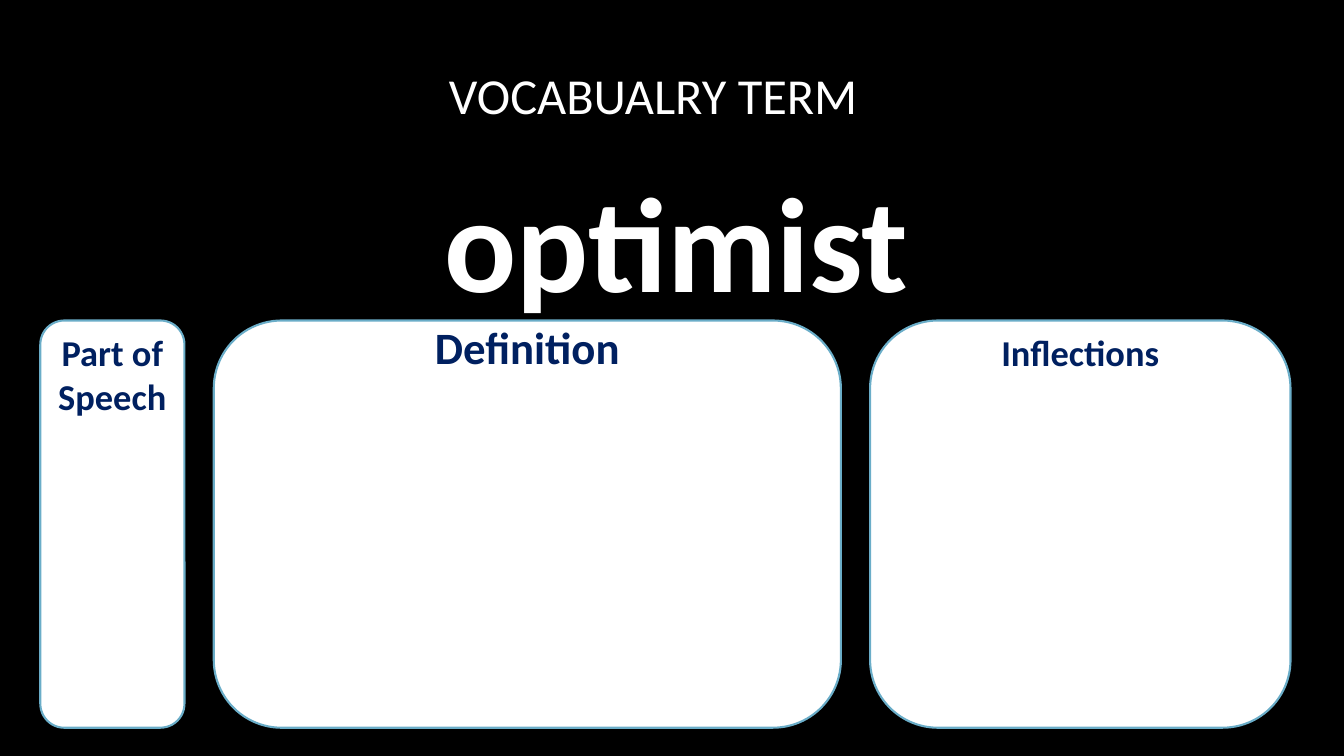
from typing import NamedTuple

import pptx
import pptx.dml.color
import pptx.enum.shapes
import pptx.enum.text
import pptx.util

Inches = pptx.util.Inches
Pt = pptx.util.Pt
RGBColor = pptx.dml.color.RGBColor

BLACK = RGBColor(0x00, 0x00, 0x00)
WHITE = RGBColor(0xFF, 0xFF, 0xFF)
NAVY = RGBColor(0x00, 0x20, 0x60)
SKY = RGBColor(0x6A, 0xAD, 0xC8)

CARD_TOP = 3.18
CARD_HEIGHT = 4.04


class Heading(NamedTuple):
    text: str
    top: float
    height: float
    size: int
    bold: bool
    inset_top: float
    inset_right: float


class Card(NamedTuple):
    text: str
    left: float
    width: float
    size: int
    inset_bottom: float


HEADINGS = [
    Heading("VOCABUALRY TERM", 0.46, 0.96, 36, False, 0.05, 0.56),
    Heading("optimist", 1.42, 1.76, 96, True, 0.19, 0.1),
]
CARDS = [
    Card("Part of Speech", 0.4, 1.43, 26, 2.98),
    Card("Definition", 2.12, 6.22, 32, 3.52),
    Card("Inflections", 8.63, 4.17, 26, 3.42),
]


def write(tf, text: str, size: int, color: RGBColor, bold: bool) -> None:
    tf.word_wrap = True
    tf.vertical_anchor = pptx.enum.text.MSO_ANCHOR.MIDDLE
    p = tf.paragraphs[0]
    p.text = text
    p.alignment = pptx.enum.text.PP_ALIGN.CENTER
    p.font.name = "Calibri"
    p.font.size = Pt(size)
    p.font.bold = bold
    p.font.color.rgb = color


def add_heading(slide, heading: Heading) -> None:
    sp = slide.shapes.add_textbox(Inches(1.17), Inches(heading.top),
                                  Inches(11.08), Inches(heading.height))
    tf = sp.text_frame
    tf.margin_top = Inches(heading.inset_top)
    tf.margin_right = Inches(heading.inset_right)
    write(tf, heading.text, heading.size, WHITE, heading.bold)


def add_card(slide, card: Card) -> None:
    """Draw a rounded card whose bottom inset keeps its label at the top."""
    sp = slide.shapes.add_shape(
        pptx.enum.shapes.MSO_SHAPE.ROUNDED_RECTANGLE,
        Inches(card.left), Inches(CARD_TOP), Inches(card.width), Inches(CARD_HEIGHT))
    sp.shadow.inherit = False
    sp.fill.solid()
    sp.fill.fore_color.rgb = WHITE
    sp.line.color.rgb = SKY
    sp.line.width = Pt(1.5)
    tf = sp.text_frame
    tf.margin_top = 0
    tf.margin_bottom = Inches(card.inset_bottom)
    write(tf, card.text, card.size, NAVY, True)


def main() -> None:
    prs = pptx.Presentation()
    prs.slide_width = Inches(13.33)
    prs.slide_height = Inches(7.5)
    slide = prs.slides.add_slide(prs.slide_layouts[6])
    slide.background.fill.solid()
    slide.background.fill.fore_color.rgb = BLACK
    for heading in HEADINGS:
        add_heading(slide, heading)
    for card in CARDS:
        add_card(slide, card)
    prs.save("out.pptx")


if __name__ == "__main__":
    main()
